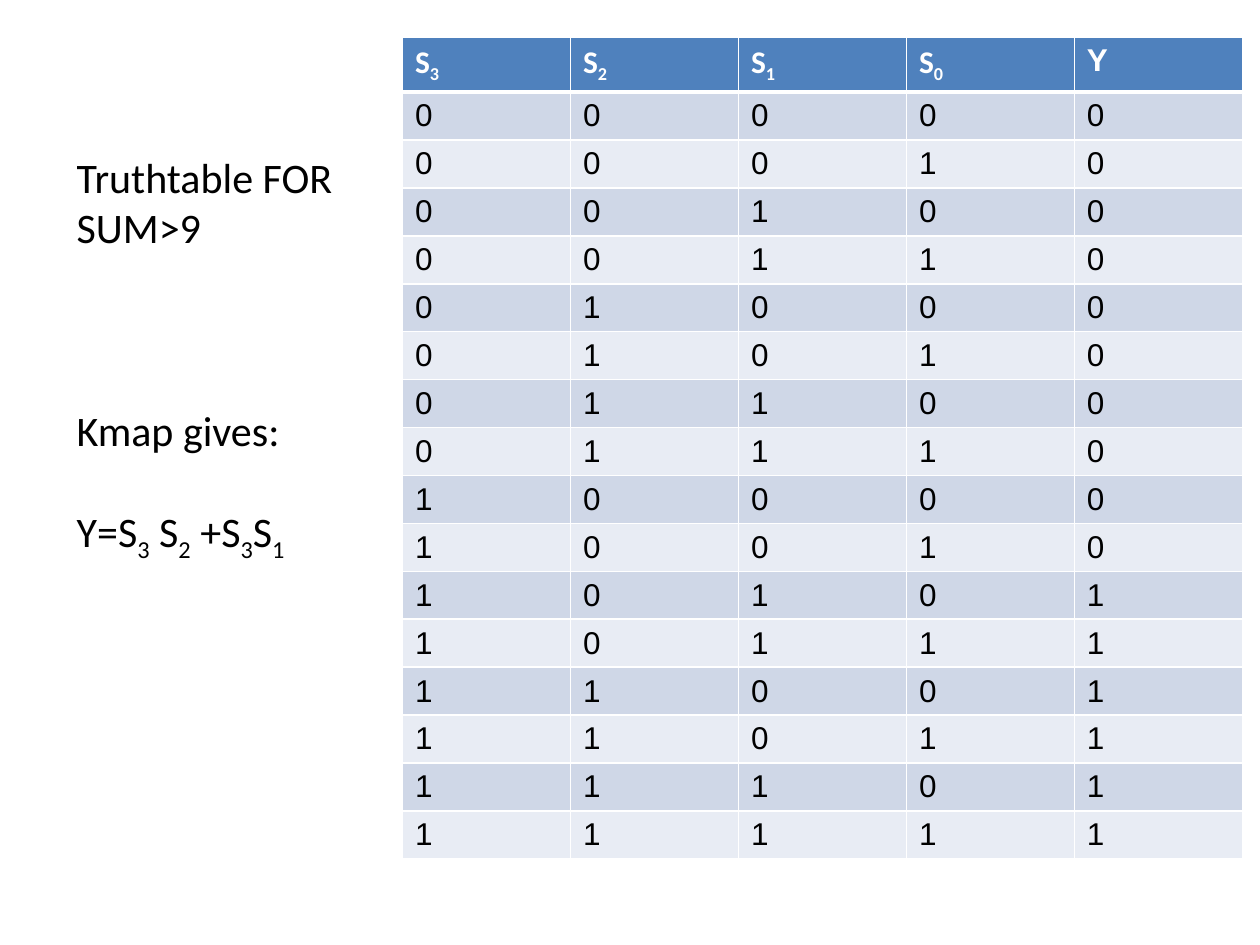
from itertools import product

from lxml.etree import SubElement
from pptx import Presentation
from pptx.dml.color import RGBColor
from pptx.oxml.ns import qn
from pptx.util import Pt


def color(hex_string):
    return RGBColor.from_string(hex_string)


class TruthTableSlide:
    WHITE, BLACK, HEADER = "FFFFFF", "000000", "4F81BD"
    BANDS = ("CFD7E7", "E8ECF4")
    HEADING_FONT, DIGIT_FONT = "Calibri", "Arial"
    TABLE_SIZE, NOTE_SIZE = 18, 24
    THIN, THICK = 1, 3

    def __init__(self, presentation):
        self.slide = presentation.slides.add_slide(presentation.slide_layouts[6])

    def set_text(self, paragraph, text, font, size, ink, bold=False):
        """Fill a paragraph; every second part between bars is a subscript."""
        paragraph.font.name = font
        paragraph.font.size = Pt(size)
        paragraph.font.bold = bold
        paragraph.font.color.rgb = color(ink)
        for index, part in enumerate(text.split("|")):
            run = paragraph.add_run()
            run.text = part
            if index % 2:
                run._r.get_or_add_rPr().set("baseline", "-25000")

    def border(self, cell, top, bottom):
        """Draw white lines round a cell, with the given top and bottom widths."""
        properties = cell._tc.get_or_add_tcPr()
        sides = (("L", self.THIN), ("R", self.THIN), ("T", top), ("B", bottom))
        for index, (side, width) in enumerate(sides):
            line = SubElement(properties, qn(f"a:ln{side}"), w=str(Pt(width)))
            fill = SubElement(line, qn("a:solidFill"))
            SubElement(fill, qn("a:srgbClr"), val=self.WHITE)
            properties.insert(index, line)

    def table(self, left, top, column_width, row_height, headings, rows):
        lines = [headings, *rows]
        table = self.slide.shapes.add_table(
            len(lines), len(headings), Pt(left), Pt(top),
            Pt(column_width * len(headings)), Pt(row_height * len(lines))).table
        for row_index, values in enumerate(lines):
            is_header = row_index == 0
            fill = self.HEADER if is_header else self.BANDS[(row_index - 1) % 2]
            ink = self.WHITE if is_header else self.BLACK
            for column_index, value in enumerate(values):
                cell = table.cell(row_index, column_index)
                cell.fill.solid()
                cell.fill.fore_color.rgb = color(fill)
                self.border(cell, self.THICK if row_index == 1 else self.THIN,
                            self.THICK if is_header else self.THIN)
                text = str(value)
                font = self.HEADING_FONT if "|" in text else self.DIGIT_FONT
                self.set_text(cell.text_frame.paragraphs[0], text, font,
                              self.TABLE_SIZE, ink, is_header)

    def notes(self, left, top, width, height, paragraphs):
        """Add a text box from pairs of text and space before it."""
        frame = self.slide.shapes.add_textbox(
            Pt(left), Pt(top), Pt(width), Pt(height)).text_frame
        frame.word_wrap = True
        for index, (text, space_before) in enumerate(paragraphs):
            paragraph = frame.add_paragraph() if index else frame.paragraphs[0]
            paragraph.space_before = Pt(space_before)
            self.set_text(paragraph, text, self.HEADING_FONT, self.NOTE_SIZE,
                          self.BLACK)


def main():
    presentation = Presentation()
    presentation.slide_width, presentation.slide_height = Pt(720), Pt(540)
    slide = TruthTableSlide(presentation)

    # Y marks the four-bit sums above nine.
    rows = [(s3, s2, s1, s0, s3 & (s2 | s1))
            for s3, s2, s1, s0 in product((0, 1), repeat=4)]
    slide.table(230, 21, 96, 24, ("S|3", "S|2", "S|1", "S|0", "Y"), rows)

    line_height = 29
    slide.notes(36.75, 83, 170, 269, (
        ("Truthtable FOR SUM>9", 0),
        ("Kmap gives:", 3 * line_height),
        ("Y=S|3| S|2| +S|3|S|1", line_height),
    ))
    presentation.save("out.pptx")


if __name__ == "__main__":
    main()
